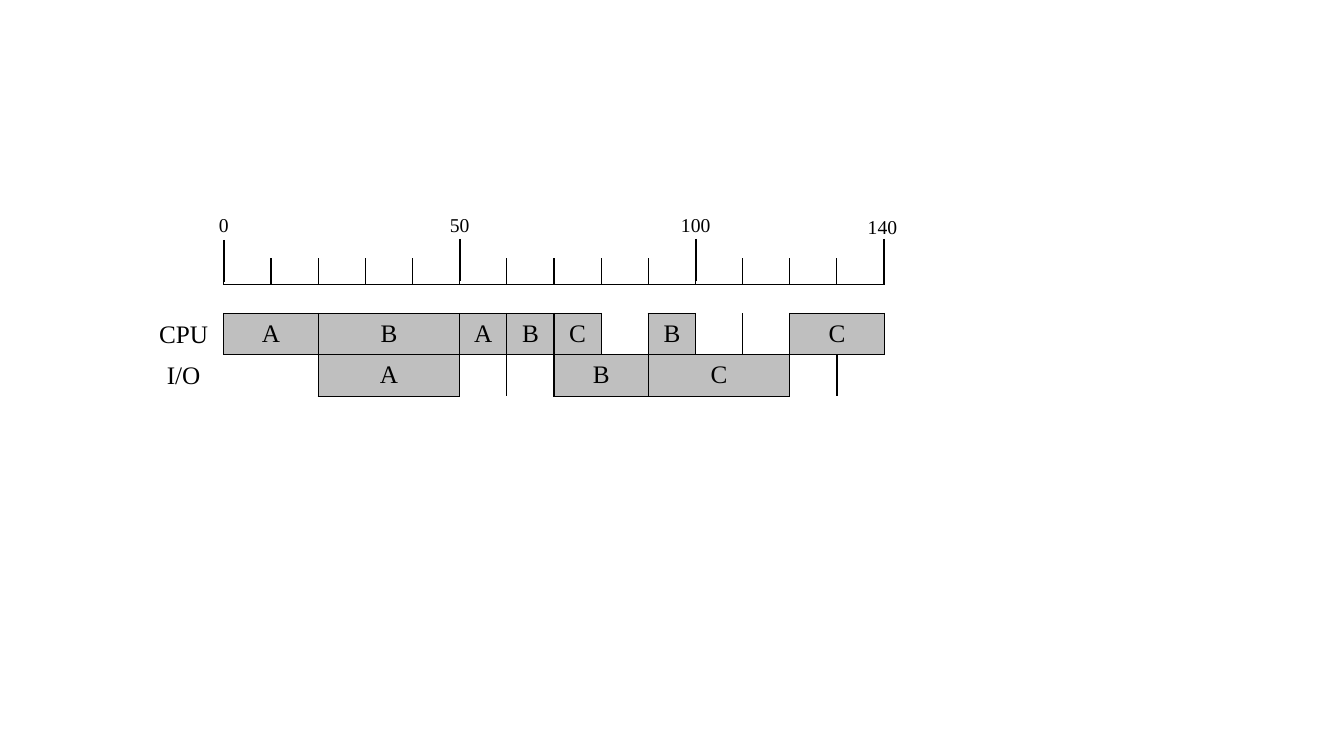
from itertools import pairwise

from lxml.etree import SubElement
from pptx import Presentation
from pptx.dml.color import RGBColor
from pptx.enum.shapes import MSO_CONNECTOR
from pptx.enum.text import MSO_ANCHOR, MSO_AUTO_SIZE, PP_ALIGN
from pptx.oxml.ns import qn
from pptx.util import Inches, Pt

BLACK = RGBColor(0x00, 0x00, 0x00)
GRAY = RGBColor(0xBF, 0xBF, 0xBF)
FONT = "Times New Roman"
NO_GRID_STYLE = "{2D5ABB26-0587-4C30-8999-92F81FD0307C}"

LEFT, SLOT, END = 2.22, 0.468, 140
ROW_H = 0.41
TIMES = [0, 10, 20, *range(50, END + 1, 10)]
CPU, IO = 0, 1
BURSTS = [
    (CPU, 0, 20, "A"), (CPU, 20, 50, "B"), (CPU, 50, 60, "A"),
    (CPU, 60, 70, "B"), (CPU, 70, 80, "C"), (CPU, 90, 100, "B"),
    (CPU, 120, 140, "C"),
    (IO, 20, 50, "A"), (IO, 70, 90, "B"), (IO, 90, 120, "C"),
]
# time, label centre offset, label top, tick top
MARKS = [(0, 0, 2.06, 2.38), (50, 0, 2.06, 2.37),
         (100, 0, 2.06, 2.37), (140, -0.02, 2.08, 2.37)]


def time_x(t):
    """Return the horizontal position of a time in inches."""
    return LEFT + t / 10 * SLOT


def write(tf, text, size=18, color=BLACK, align=PP_ALIGN.CENTER):
    """Put one formatted line of text into a text frame."""
    p = tf.paragraphs[0]
    p.alignment = align
    r = p.add_run()
    r.text = text
    r.font.name, r.font.size = FONT, Pt(size)
    r.font.color.rgb = color


def set_borders(cell, sides, width=1):
    """Draw the named sides (out of L, R, T, B) of a cell."""
    tc_pr = cell._tc.get_or_add_tcPr()
    for side in "LRTB":
        if side in sides:
            ln = SubElement(tc_pr, qn(f"a:ln{side}"), w=str(Pt(width)))
            fill = SubElement(ln, qn("a:solidFill"))
            SubElement(fill, qn("a:srgbClr"), val=str(BLACK))


class Diagram:
    """Holds the style and the current slide."""

    def __init__(self, slide):
        """Keep the slide to draw on."""
        self.shapes = slide.shapes

    def table(self, top, widths, rows, row_h):
        """Add an unstyled table at the left edge of the time axis."""
        frame = self.shapes.add_table(
            rows, len(widths), Inches(LEFT), Inches(top),
            Inches(sum(widths)), Inches(row_h * rows))
        tbl = frame.table
        tbl.first_row = tbl.horz_banding = False
        tbl._tbl.tblPr.find(qn("a:tableStyleId")).text = NO_GRID_STYLE
        for col, w in zip(tbl.columns, widths):
            col.width = Inches(w)
        return tbl

    def ruler(self, top, height):
        """Add the row of minor ticks, one cell per ten time units."""
        tbl = self.table(top, [SLOT] * (END // 10), 1, height)
        for cell in tbl.iter_cells():
            cell.margin_top = cell.margin_bottom = 0
            p = cell.text_frame.paragraphs[0]
            SubElement(p._p, qn("a:endParaRPr"), sz="800")
            set_borders(cell, "LRB")

    def schedule(self, top, bursts):
        """Add the table of CPU and I/O bursts."""
        widths = [(b - a) / 10 * SLOT for a, b in pairwise(TIMES)]
        tbl = self.table(top, widths, 2, ROW_H)
        spans = [(row, TIMES.index(a), TIMES.index(b), name)
                 for row, a, b, name in bursts]
        busy = {(row, c) for row, a, b, _ in spans for c in range(a, b)}
        for row in (CPU, IO):
            for c in range(len(widths)):
                near = {"L": (row, c - 1), "R": (row, c + 1),
                        "T": (row - 1, c), "B": (row + 1, c)}
                set_borders(tbl.cell(row, c),
                            [side for side, pos in near.items()
                             if (row, c) in busy or pos in busy])
        for row, a, b, name in spans:
            cell = tbl.cell(row, a)
            if b - a > 1:
                cell.merge(tbl.cell(row, b - 1))
            cell.fill.solid()
            cell.fill.fore_color.rgb = GRAY
            cell.vertical_anchor = MSO_ANCHOR.MIDDLE
            write(cell.text_frame, name)

    def label(self, text, center, top, width, height, size):
        """Add a text box centred on a horizontal position."""
        sp = self.shapes.add_textbox(Inches(center - width / 2), Inches(top),
                                     Inches(width), Inches(height))
        tf = sp.text_frame
        tf.word_wrap = False
        tf.auto_size = MSO_AUTO_SIZE.SHAPE_TO_FIT_TEXT
        write(tf, text, size=size)

    def tick(self, x, top, height=0.42):
        """Add a major tick of the time axis."""
        line = self.shapes.add_connector(
            MSO_CONNECTOR.STRAIGHT, Inches(x), Inches(top),
            Inches(x), Inches(top + height))
        line.line.color.rgb = BLACK
        line.line.width = Pt(1.5)
        SubElement(line._element.spPr, qn("a:effectLst"))


prs = Presentation()
prs.slide_width, prs.slide_height = Inches(13.33), Inches(7.5)
s = Diagram(prs.slides.add_slide(prs.slide_layouts[6]))

s.schedule(3.11, BURSTS)
s.ruler(2.56, 0.26)
for t, shift, label_top, tick_top in MARKS:
    s.label(str(t), time_x(t) + shift, label_top,
            0.2 + 0.13 * len(str(t)), 0.34, 14)
    s.tick(time_x(t), tick_top)
for row, name in enumerate(["CPU", "I/O"]):
    s.label(name, 1.82, 3.11 + row * ROW_H, 0.69, 0.4, 18)

prs.save("out.pptx")
